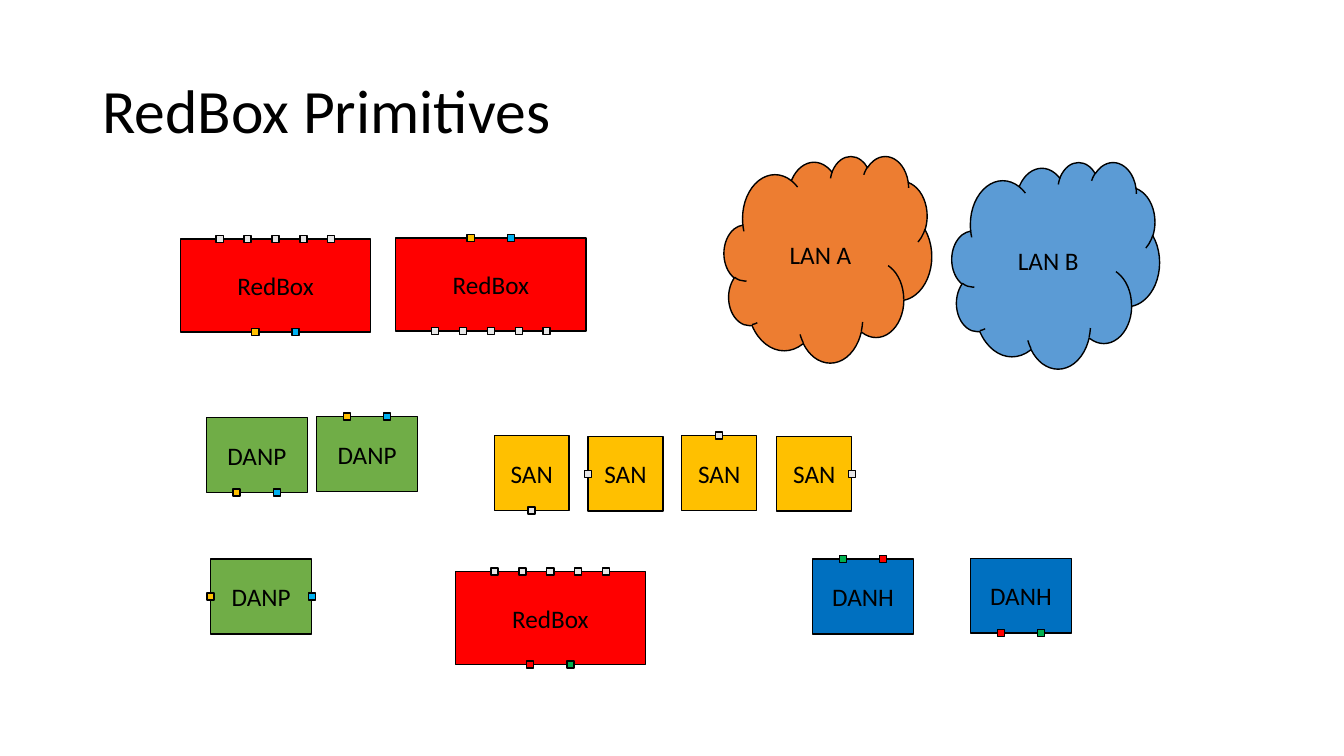
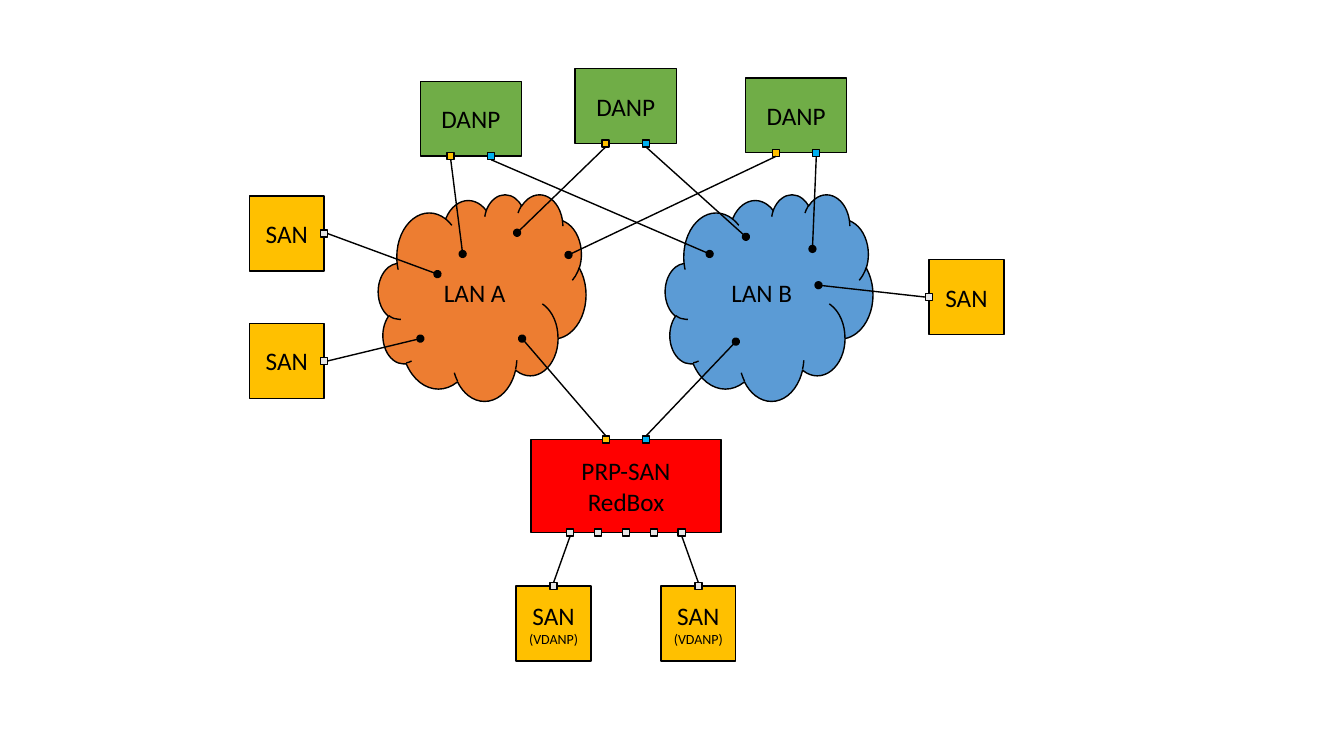
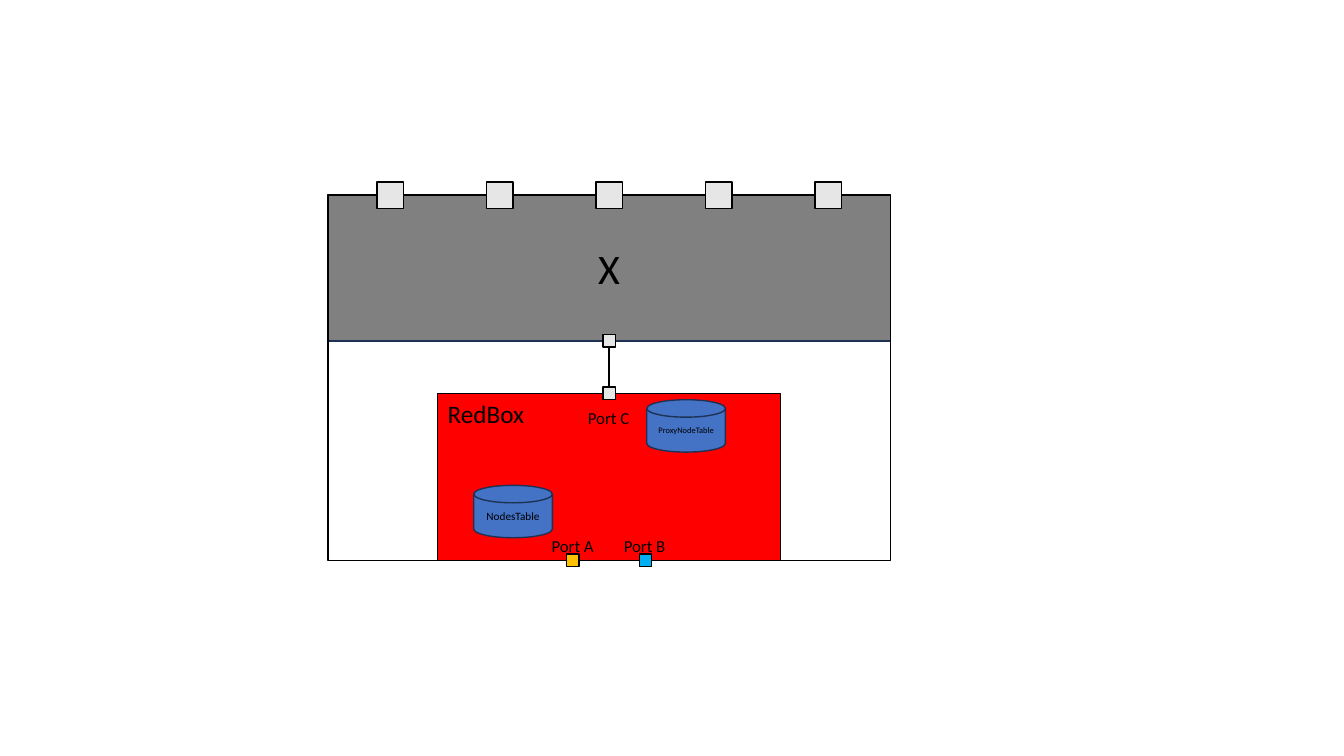
from pptx import Presentation
from pptx.dml.color import RGBColor
from pptx.enum.shapes import MSO_CONNECTOR, MSO_SHAPE
from pptx.enum.text import MSO_ANCHOR, PP_ALIGN
from pptx.oxml.ns import qn
from pptx.util import Inches, Pt

RECTANGLE, CLOUD, DISK = MSO_SHAPE.RECTANGLE, MSO_SHAPE.CLOUD, MSO_SHAPE.FLOWCHART_MAGNETIC_DISK
STRAIGHT = MSO_CONNECTOR.STRAIGHT
LEFT, CENTER = PP_ALIGN.LEFT, PP_ALIGN.CENTER
TOP_ANCHOR, MIDDLE = MSO_ANCHOR.TOP, MSO_ANCHOR.MIDDLE
TOP, WEST, BOTTOM, EAST = 0, 1, 2, 3

FONT = "Calibri"
COLORS = {
    "black": "000000", "gray": "808080", "navy": "1E3256", "silver": "E7E6E6",
    "red": "FF0000", "amber": "FFC000", "sky": "00B0F0", "green": "00B050",
    "leaf": "70AD47", "blue": "0070C0", "orange": "ED7D31", "pale blue": "5B9BD5",
    "disk blue": "4472C4",
}

presentation = Presentation()
presentation.slide_width, presentation.slide_height = Inches(13.33), Inches(7.5)
CELL = presentation.slide_width / 40


def write(shape, text, sizes=(18,), align=CENTER, anchor=MIDDLE, wrap=True, spacing=None):
    frame = shape.text_frame
    frame.word_wrap = wrap
    frame.vertical_anchor = anchor
    frame.text = text
    for paragraph, size in zip(frame.paragraphs, sizes):
        paragraph.alignment = align
        paragraph.line_spacing = spacing
        font = paragraph.runs[0].font
        font.name, font.size = FONT, Pt(size)
        font.color.rgb = RGBColor.from_string(COLORS["black"])


def add_block(slide, preset, left, top, width, height, fill=None, line="black"):
    box = [round(cells * CELL) for cells in (left, top, width, height)]
    shape = slide.shapes.add_shape(preset, *box)
    shape.shadow.inherit = False
    if fill:
        shape.fill.solid()
        shape.fill.fore_color.rgb = RGBColor.from_string(COLORS[fill])
    else:
        shape.fill.background()
    shape.line.color.rgb = RGBColor.from_string(COLORS[line])
    shape.line.width = Pt(1)
    return shape


title_layout, blank_layout = presentation.slide_layouts[5], presentation.slide_layouts[6]
primitives, network, internals = [
    presentation.slides.add_slide(layout) for layout in (title_layout, blank_layout, blank_layout)
]

title = primitives.shapes.title
title.left, title.top, title.width, title.height = [
    round(cells * CELL) for cells in (2.75, 1.2, 34.5, 4.35)
]
write(title, "RedBox Primitives", sizes=(44,), align=LEFT, spacing=0.9)

KINDS = {
    "RedBox": (RECTANGLE, 5.66, 2.77, "red"),
    "DANP": (RECTANGLE, 3.01, 2.23, "leaf"),
    "DANH": (RECTANGLE, 3.01, 2.23, "blue"),
    "SAN": (RECTANGLE, 2.23, 2.23, "amber"),
    "LAN A": (CLOUD, 6.18, 6.15, "orange"),
    "LAN B": (CLOUD, 6.18, 6.15, "pale blue"),
}
PORT = 0.21
PITCH = {1: 0, 2: 1.2, 5: 0.83}
PRP = ("amber", "sky")
HSR = ("red", "green")
SINGLE = ("silver",)
FIVE = SINGLE * 5

devices = [
    (primitives, "RedBox down", "RedBox", 5.37, 7.11, "RedBox", {TOP: FIVE, BOTTOM: PRP}),
    (primitives, "RedBox up", "RedBox", 11.78, 7.08, "RedBox", {TOP: PRP, BOTTOM: FIVE}),
    (primitives, "RedBox HSR", "RedBox", 13.55, 17.01, "RedBox", {TOP: FIVE, BOTTOM: HSR}),
    (primitives, "Cloud A", "LAN A", 21.55, 4.64, "LAN A", {}),
    (primitives, "Cloud B", "LAN B", 28.33, 4.82, "LAN B", {}),
    (primitives, "DANP down", "DANP", 6.14, 12.43, "DANP", {BOTTOM: PRP}),
    (primitives, "DANP up", "DANP", 9.42, 12.4, "DANP", {TOP: PRP}),
    (primitives, "DANP sides", "DANP", 6.27, 16.64, "DANP", {WEST: ("amber",), EAST: ("sky",)}),
    (primitives, "SAN down", "SAN", 14.71, 12.97, "SAN", {BOTTOM: SINGLE}),
    (primitives, "SAN west", "SAN", 17.5, 12.99, "SAN", {WEST: SINGLE}),
    (primitives, "SAN up", "SAN", 20.29, 12.97, "SAN", {TOP: SINGLE}),
    (primitives, "SAN east", "SAN", 23.12, 12.99, "SAN", {EAST: SINGLE}),
    (primitives, "DANH up", "DANH", 24.18, 16.64, "DANH", {TOP: HSR[::-1]}),
    (primitives, "DANH down", "DANH", 28.88, 16.62, "DANH", {BOTTOM: HSR}),
    (network, "Network A", "LAN A", 11.26, 5.78, "LAN A", {}),
    (network, "Network B", "LAN B", 19.8, 5.78, "LAN B", {}),
    (network, "SAN 1", "SAN", 7.42, 5.84, "SAN", {EAST: SINGLE}),
    (network, "SAN 2", "SAN", 7.42, 9.63, "SAN", {EAST: SINGLE}),
    (network, "SAN 3", "SAN", 27.65, 7.73, "SAN", {WEST: SINGLE}),
    (network, "DANP 1", "DANP", 12.51, 2.42, "DANP", {BOTTOM: PRP}),
    (network, "DANP 2", "DANP", 17.12, 2.04, "DANP", {BOTTOM: PRP}),
    (network, "DANP 3", "DANP", 22.19, 2.32, "DANP", {BOTTOM: PRP}),
    (network, "PRP RedBox", "RedBox", 15.8, 13.08, "PRP-SAN\nRedBox", {TOP: PRP, BOTTOM: FIVE}),
    (network, "VDANP 1", "SAN", 15.36, 17.45, "SAN\n(VDANP)", {TOP: SINGLE}),
    (network, "VDANP 2", "SAN", 19.67, 17.45, "SAN\n(VDANP)", {TOP: SINGLE}),
]

ports = {}
for slide, name, kind, left, top, text, sides in devices:
    preset, width, height, fill = KINDS[kind]
    device = add_block(slide, preset, left, top, width, height, fill)
    write(device, text, sizes=(18, 10) if kind == "SAN" else (18, 18))
    edges = {
        TOP: (left + width / 2, top),
        WEST: (left, top + height / 2),
        BOTTOM: (left + width / 2, top + height),
        EAST: (left + width, top + height / 2),
    }
    for side, colors in sides.items():
        x, y = edges[side]
        for index, color in enumerate(colors):
            shift = (index - (len(colors) - 1) / 2) * PITCH[len(colors)]
            ports[name, side, index] = add_block(
                slide, RECTANGLE, x + shift - PORT / 2, y - PORT / 2, PORT, PORT, color
            )

AXIS, SWITCH_TOP, SWITCH_BOTTOM, BOX_TOP, FLOOR = 18.13, 5.81, 10.15, 11.71, 16.68
SWITCH_WIDTH, BOX_WIDTH = 16.74, 10.2
switch_left = AXIS - SWITCH_WIDTH / 2
switch = add_block(internals, RECTANGLE, switch_left, SWITCH_TOP, SWITCH_WIDTH,
                   SWITCH_BOTTOM - SWITCH_TOP, "gray", "navy")
write(switch, "X", sizes=(30,))
add_block(internals, RECTANGLE, switch_left, SWITCH_TOP, SWITCH_WIDTH, FLOOR - SWITCH_TOP)
redbox = add_block(internals, RECTANGLE, AXIS - BOX_WIDTH / 2, BOX_TOP, BOX_WIDTH,
                   FLOOR - BOX_TOP, "red")
write(redbox, "RedBox", align=LEFT, anchor=TOP_ANCHOR)

inner_ports = [(f"Switch {column}", 3.26 * column, SWITCH_TOP, 0.79, "silver")
               for column in range(-2, 3)]
inner_ports += [
    ("Port A", -1.08, FLOOR, 0.37, "amber"),
    ("Port B", 1.08, FLOOR, 0.37, "sky"),
    ("Port C", 0, BOX_TOP, 0.37, "silver"),
    ("Uplink", 0, SWITCH_BOTTOM, 0.37, "silver"),
]
for name, shift, y, size, color in inner_ports:
    ports[name] = add_block(internals, RECTANGLE, AXIS + shift - size / 2, y - size / 2,
                            size, size, color)

for text, left, top, size in (("NodesTable", 14.1, 14.45, 8), ("ProxyNodeTable", 19.25, 11.9, 6)):
    disk = add_block(internals, DISK, left, top, 2.34, 1.56, "disk blue", "navy")
    write(disk, text, sizes=(size,))

for text, left, top in (("Port A", 16.12, 15.8), ("Port B", 18.27, 15.8), ("Port C", 17.2, 12)):
    label = internals.shapes.add_textbox(*[round(cells * CELL) for cells in (left, top, 1.88, 0.9)])
    write(label, text, sizes=(12,), align=LEFT, anchor=TOP_ANCHOR, wrap=False)

links = [
    (network, ("SAN 1", EAST, 0), EAST, (13.02, 8.16)),
    (network, ("SAN 2", EAST, 0), EAST, (12.51, 10.08)),
    (network, ("SAN 3", WEST, 0), WEST, (24.36, 8.49)),
    (network, ("DANP 1", BOTTOM, 0), BOTTOM, (13.77, 7.56)),
    (network, ("DANP 1", BOTTOM, 1), BOTTOM, (21.12, 7.56)),
    (network, ("DANP 2", BOTTOM, 0), BOTTOM, (15.39, 6.93)),
    (network, ("DANP 2", BOTTOM, 1), BOTTOM, (22.2, 7.05)),
    (network, ("DANP 3", BOTTOM, 0), BOTTOM, (16.92, 7.59)),
    (network, ("DANP 3", BOTTOM, 1), BOTTOM, (24.18, 7.41)),
    (network, ("PRP RedBox", TOP, 0), TOP, (15.54, 10.08)),
    (network, ("PRP RedBox", TOP, 1), TOP, (21.9, 10.17)),
    (network, ("VDANP 1", TOP, 0), TOP, ("PRP RedBox", BOTTOM, 0)),
    (network, ("VDANP 2", TOP, 0), TOP, ("PRP RedBox", BOTTOM, 4)),
    (internals, "Port C", TOP, "Uplink"),
]
for slide, start, site, target in links:
    connector = slide.shapes.add_connector(STRAIGHT, 0, 0, 0, 0)
    connector.line.color.rgb = RGBColor.from_string(COLORS["black"])
    connector.line.width = Pt(1)
    properties = connector.element.spPr
    connector.begin_connect(ports[start], site)
    if target in ports:
        connector.end_connect(ports[target], BOTTOM)
    else:
        connector.end_x, connector.end_y = [round(cells * CELL) for cells in target]
        outline = properties.find(qn("a:ln"))
        outline.append(outline.makeelement(qn("a:tailEnd"), {"type": "oval"}))
    properties.append(properties.makeelement(qn("a:effectLst"), {}))

presentation.save("out.pptx")
